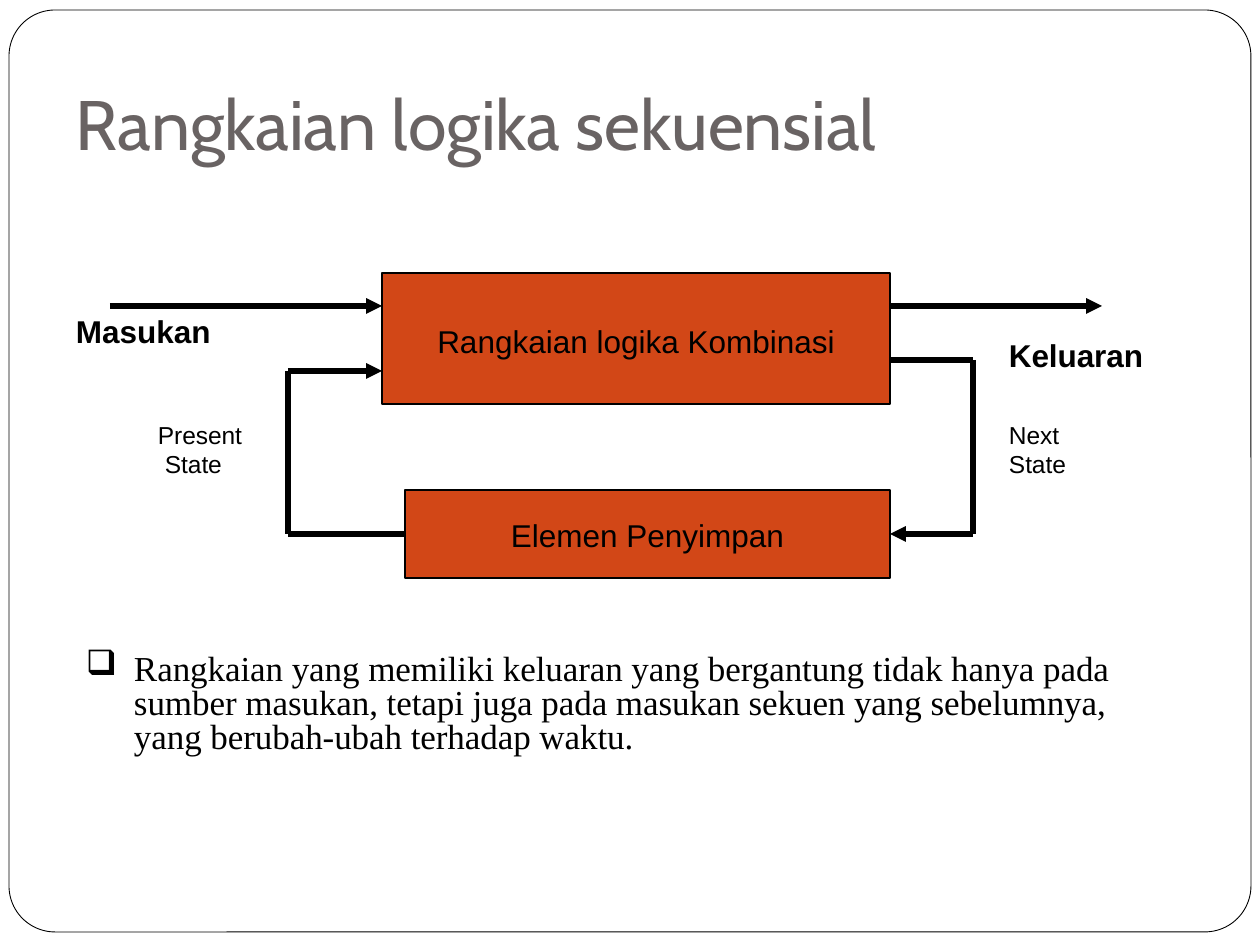
from dataclasses import dataclass

import pptx
import pptx.dml.color
import pptx.enum.shapes
import pptx.enum.text
import pptx.oxml.ns
import pptx.util
from lxml import etree

EMU_PER_PX = 914400 / 126
SHAPES = pptx.enum.shapes.MSO_SHAPE
LEFT, RIGHT = 1, 3


@dataclass(frozen=True)
class Theme:
    ink: str = "000000"
    title_ink: str = "696363"
    block_fill: str = "D24717"
    title_font: str = "Cabin"
    label_font: str = "Arial"
    body_font: str = "Times New Roman"
    title_size: int = 40
    block_size: int = 18
    state_size: int = 14
    body_size: int = 20
    outline: float = 0.75
    frame_line: float = 0.5
    wire: int = 3


THEME = Theme()


@dataclass(frozen=True)
class Area:
    left: int
    top: int
    width: int
    height: int


@dataclass(frozen=True)
class Block:
    area: Area
    caption: str
    inset_top: int


@dataclass(frozen=True)
class Label:
    area: Area
    lines: tuple[str, ...]
    size: int
    font: str = THEME.label_font
    ink: str = THEME.ink
    bold: bool = False
    space_before: float = 1
    tight: bool = True
    last_line_indent: int = 0


@dataclass(frozen=True)
class Wire:
    """A straight segment; start and end may name a (block, side) to join."""
    points: tuple[int, int, int, int]
    arrow: bool = False
    start: tuple[str, int] | None = None
    end: tuple[str, int] | None = None


FRAME = Area(9, 10, 1242, 922)
FRAME_RADIUS = 45

BLOCKS = {
    "logic": Block(Area(382, 273, 508, 131), "Rangkaian logika Kombinasi", 5),
    "storage": Block(Area(405, 490, 485, 88), "Elemen Penyimpan", 2),
}

LOGIC_LEFT, BLOCK_RIGHT, STORAGE_LEFT = 382, 890, 405
PRESENT_X, NEXT_X = 288, 973
INPUT_Y, NEXT_Y, PRESENT_Y, STORAGE_Y = 306, 360, 371, 534

WIRES = [
    Wire((STORAGE_LEFT, STORAGE_Y, PRESENT_X, STORAGE_Y), start=("storage", LEFT)),
    Wire((PRESENT_X, STORAGE_Y, PRESENT_X, PRESENT_Y)),
    Wire((PRESENT_X, PRESENT_Y, LOGIC_LEFT, PRESENT_Y), arrow=True),
    Wire((110, INPUT_Y, LOGIC_LEFT, INPUT_Y), arrow=True),
    Wire((BLOCK_RIGHT, INPUT_Y, 1102, INPUT_Y), arrow=True),
    Wire((BLOCK_RIGHT, NEXT_Y, NEXT_X, NEXT_Y)),
    Wire((NEXT_X, NEXT_Y, NEXT_X, STORAGE_Y)),
    Wire((NEXT_X, STORAGE_Y, BLOCK_RIGHT, STORAGE_Y), arrow=True, end=("storage", RIGHT)),
]

LABELS = [
    Label(Area(76, 81, 860, 88), ("Rangkaian logika sekuensial",), THEME.title_size,
          THEME.title_font, THEME.title_ink),
    Label(Area(76, 312, 150, 40), ("Masukan",), THEME.block_size, bold=True, tight=False),
    Label(Area(1009, 336, 150, 40), ("Keluaran",), THEME.block_size, bold=True),
    Label(Area(158, 420, 100, 60), ("Present", "State"), THEME.state_size,
          last_line_indent=7),
    Label(Area(1009, 420, 80, 60), ("Next", "State"), THEME.state_size),
]

DEFINITION = Label(
    Area(85, 655, 1062, 102),
    ("Rangkaian yang memiliki keluaran yang bergantung tidak hanya pada sumber "
     "masukan, tetapi juga pada masukan sekuen yang sebelumnya, "
     "yang berubah-ubah terhadap waktu.",),
    THEME.body_size, THEME.body_font, space_before=5.7)


def px(length: int) -> int:
    return round(length * EMU_PER_PX)


def place(area: Area) -> tuple[int, int, int, int]:
    return px(area.left), px(area.top), px(area.width), px(area.height)


def color(value: str) -> pptx.dml.color.RGBColor:
    return pptx.dml.color.RGBColor.from_string(value)


def style_font(para, font: str, size: int, ink: str, bold: bool = False) -> None:
    para.font.name = font
    para.font.size = pptx.util.Pt(size)
    para.font.color.rgb = color(ink)
    para.font.bold = bold


def clear_margins(frame) -> None:
    frame.word_wrap = True
    frame.margin_left = frame.margin_top = frame.margin_right = frame.margin_bottom = 0


def outline(line, width: float) -> None:
    line.color.rgb = color(THEME.ink)
    line.width = pptx.util.Pt(width)


def draw_frame(page) -> None:
    box = page.shapes.add_shape(SHAPES.ROUNDED_RECTANGLE, *place(FRAME))
    box.adjustments[0] = round(FRAME_RADIUS / FRAME.height, 2)
    box.shadow.inherit = False
    box.fill.background()
    outline(box.line, THEME.frame_line)


def draw_block(page, block: Block):
    box = page.shapes.add_shape(SHAPES.RECTANGLE, *place(block.area))
    box.shadow.inherit = False
    box.fill.solid()
    box.fill.fore_color.rgb = color(THEME.block_fill)
    outline(box.line, THEME.outline)
    clear_margins(box.text_frame)
    box.text_frame.margin_top = px(block.inset_top)
    box.text_frame.vertical_anchor = pptx.enum.text.MSO_ANCHOR.MIDDLE
    para = box.text_frame.paragraphs[0]
    para.text = block.caption
    para.alignment = pptx.enum.text.PP_ALIGN.CENTER
    style_font(para, THEME.label_font, THEME.block_size, THEME.ink)
    return box


def draw_wire(page, wire: Wire, boxes: dict) -> None:
    line = page.shapes.add_connector(
        pptx.enum.shapes.MSO_CONNECTOR.STRAIGHT, *map(px, wire.points))
    if wire.start:
        line.begin_connect(boxes[wire.start[0]], wire.start[1])
    if wire.end:
        line.end_connect(boxes[wire.end[0]], wire.end[1])
    outline(line.line, THEME.wire)
    if wire.arrow:
        etree.SubElement(line.line._get_or_add_ln(), pptx.oxml.ns.qn("a:tailEnd"),
                         type="triangle")
    etree.SubElement(line._element.spPr, pptx.oxml.ns.qn("a:effectLst"))


def draw_label(page, label: Label):
    box = page.shapes.add_textbox(*place(label.area))
    frame = box.text_frame
    clear_margins(frame)
    for index, text in enumerate(label.lines):
        para = frame.add_paragraph() if index else frame.paragraphs[0]
        span = para.add_run()
        span.text = text
        style_font(para, label.font, label.size, label.ink, label.bold)
        if label.tight:
            span.font._element.set("spc", "-5")
        para.space_before = pptx.util.Pt(0 if index else label.space_before)
    if label.last_line_indent:
        para._p.get_or_add_pPr().set("marL", str(px(label.last_line_indent)))
    return box


def draw_definition(page) -> None:
    para = draw_label(page, DEFINITION).text_frame.paragraphs[0]
    para.line_spacing = 0.8
    properties = para._p.get_or_add_pPr()
    properties.set("marL", str(px(49)))
    properties.set("indent", str(px(-48)))
    bullet = etree.Element(pptx.oxml.ns.qn("a:buChar"), char="❑")
    properties.find(pptx.oxml.ns.qn("a:defRPr")).addprevious(bullet)


def main() -> None:
    deck = pptx.Presentation()
    deck.slide_width, deck.slide_height = px(1260), px(945)
    page = deck.slides.add_slide(deck.slide_layouts[6])
    draw_frame(page)
    boxes = {name: draw_block(page, block) for name, block in BLOCKS.items()}
    for wire in WIRES:
        draw_wire(page, wire, boxes)
    for label in LABELS:
        draw_label(page, label)
    draw_definition(page)
    deck.save("out.pptx")


if __name__ == "__main__":
    main()
